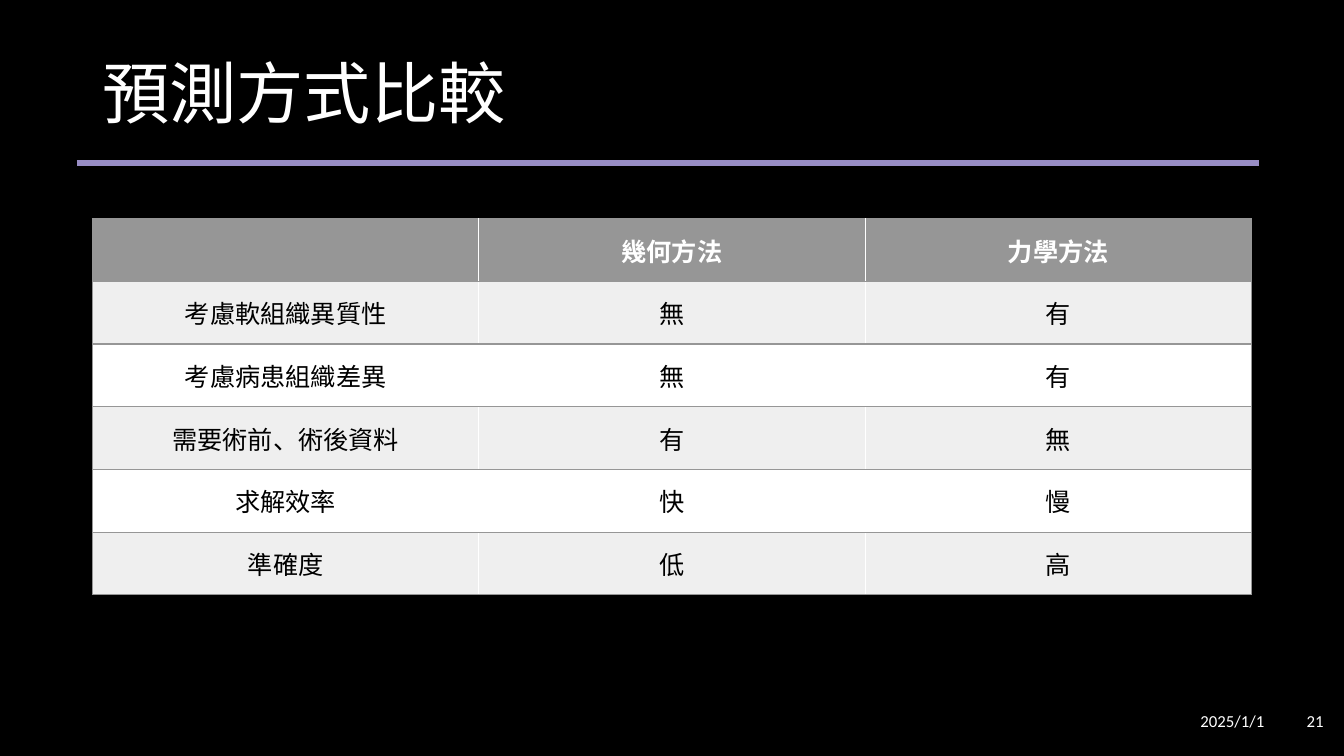
from dataclasses import dataclass

from lxml import etree
from pptx import Presentation
from pptx.dml.color import RGBColor
from pptx.enum.shapes import MSO_CONNECTOR
from pptx.enum.text import MSO_ANCHOR, PP_ALIGN
from pptx.oxml.ns import qn
from pptx.util import Cm, Pt

STRAIGHT = MSO_CONNECTOR.STRAIGHT
MIDDLE = MSO_ANCHOR.MIDDLE
LEFT, CENTER, RIGHT = PP_ALIGN.LEFT, PP_ALIGN.CENTER, PP_ALIGN.RIGHT


@dataclass(frozen=True)
class Theme:
    font: str = "Calibri"
    background: str = "000000"
    light: str = "FFFFFF"
    dark: str = "000000"
    accent: str = "988DC4"
    grey: str = "969696"
    band: str = "EFEFEF"
    title_size: int = 48
    table_size: int = 18
    footer_size: int = 12


THEME = Theme()

COMPARISON = [
    ("", "幾何方法", "力學方法"),
    ("考慮軟組織異質性", "無", "有"),
    ("考慮病患組織差異", "無", "有"),
    ("需要術前、術後資料", "有", "無"),
    ("求解效率", "快", "慢"),
    ("準確度", "低", "高"),
]


def rgb(color):
    return RGBColor.from_string(color)


def write(tf, text, size, color, align=LEFT, bold=False):
    p = tf.paragraphs[0]
    p.alignment = align
    r = p.add_run()
    r.text = text
    r.font.name = THEME.font
    r.font.size = Pt(size)
    r.font.bold = bold
    r.font.color.rgb = rgb(color)
    return p


def add_label(slide, text, left, top, width, height, size, align=LEFT):
    tf = slide.shapes.add_textbox(Cm(left), Cm(top), Cm(width), Cm(height)).text_frame
    tf.word_wrap = True
    tf.vertical_anchor = MIDDLE
    return write(tf, text, size, THEME.light, align)


def add_rule(slide, left, right, y):
    line = slide.shapes.add_connector(STRAIGHT, Cm(left), Cm(y), Cm(right), Cm(y))
    line.line.color.rgb = rgb(THEME.accent)
    line.line.width = Pt(4.5)
    etree.SubElement(line._element.spPr, qn("a:effectLst"))


def set_borders(cell, sides):
    """Draw thin grey borders; sides holds letters in the order L, R, T, B."""
    tc_pr = cell._tc.get_or_add_tcPr()
    for side in sides:
        ln = etree.SubElement(tc_pr, qn(f"a:ln{side}"), w=str(Pt(1)))
        fill = etree.SubElement(ln, qn("a:solidFill"))
        etree.SubElement(fill, qn("a:srgbClr"), val=THEME.grey)


def add_comparison_table(slide, rows, left, top, width, row_height):
    last = len(rows[0]) - 1
    table = slide.shapes.add_table(
        len(rows), last + 1, Cm(left), Cm(top), Cm(width), Cm(row_height * len(rows))
    ).table
    for i, row in enumerate(rows):
        header = i == 0
        fill = THEME.grey if header else THEME.band if i % 2 else THEME.light
        color = THEME.light if header else THEME.dark
        for j, text in enumerate(row):
            cell = table.cell(i, j)
            cell.vertical_anchor = MIDDLE
            set_borders(cell, {0: "LTB", last: "RTB"}.get(j, "TB"))
            cell.fill.solid()
            cell.fill.fore_color.rgb = rgb(fill)
            if text:
                write(cell.text_frame, text, THEME.table_size, color, CENTER, header)


def main():
    prs = Presentation()
    prs.slide_width, prs.slide_height = Cm(33.87), Cm(19.05)
    slide = prs.slides.add_slide(prs.slide_layouts[6])
    slide.background.fill.solid()
    slide.background.fill.fore_color.rgb = rgb(THEME.background)

    add_rule(slide, 1.94, 31.72, 4.11)
    title = add_label(slide, "預測方式比較", 2.33, 1.02, 29.21, 2.84, THEME.title_size)
    title.line_spacing = 0.9
    add_label(slide, "21", 32.39, 17.65, 1.22, 1.02, THEME.footer_size, RIGHT)
    add_label(slide, "2025/1/1", 30, 17.65, 2.64, 1.02, THEME.footer_size)
    add_comparison_table(slide, COMPARISON, 2.33, 5.51, 29.21, 1.58)

    prs.save("out.pptx")


if __name__ == "__main__":
    main()
